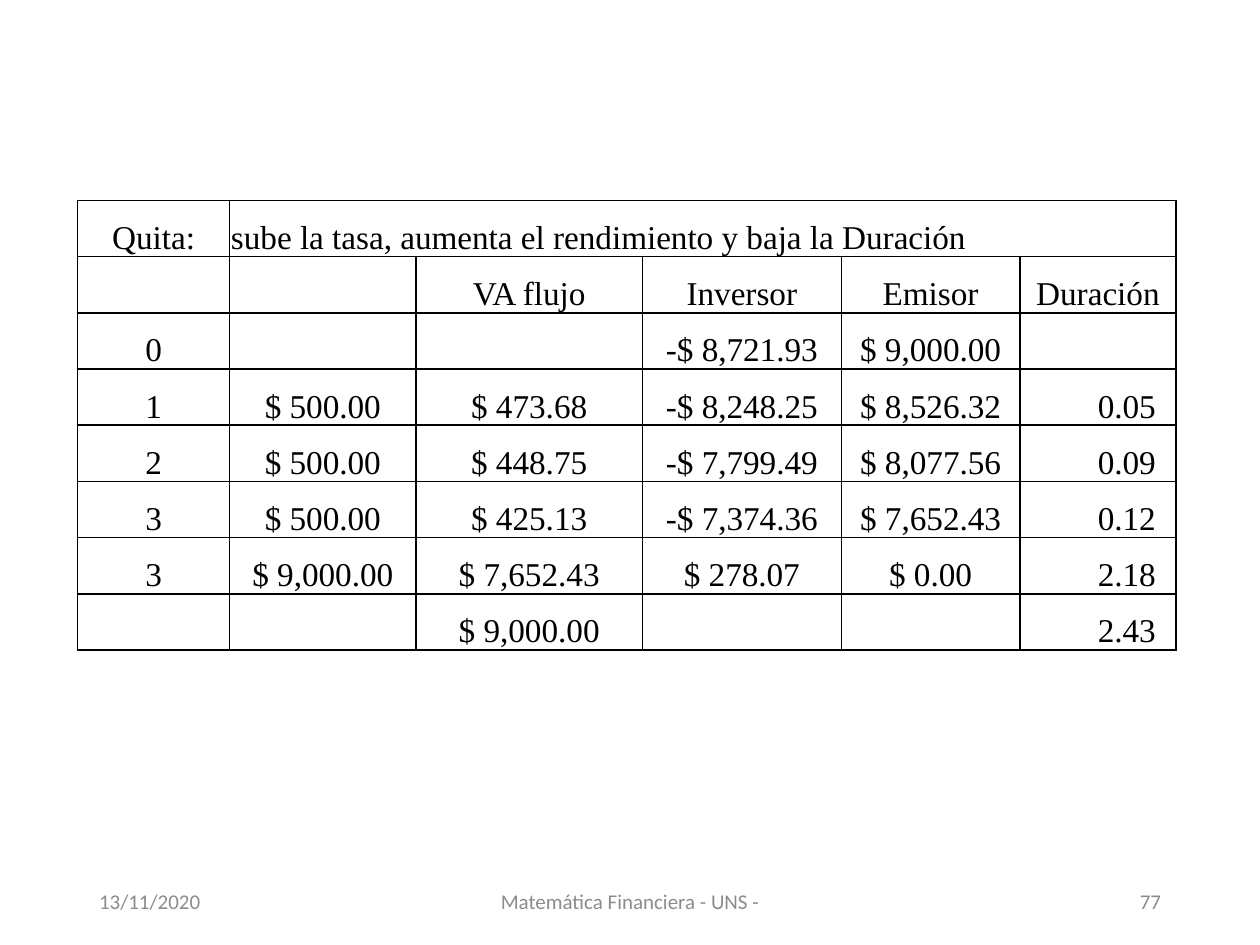
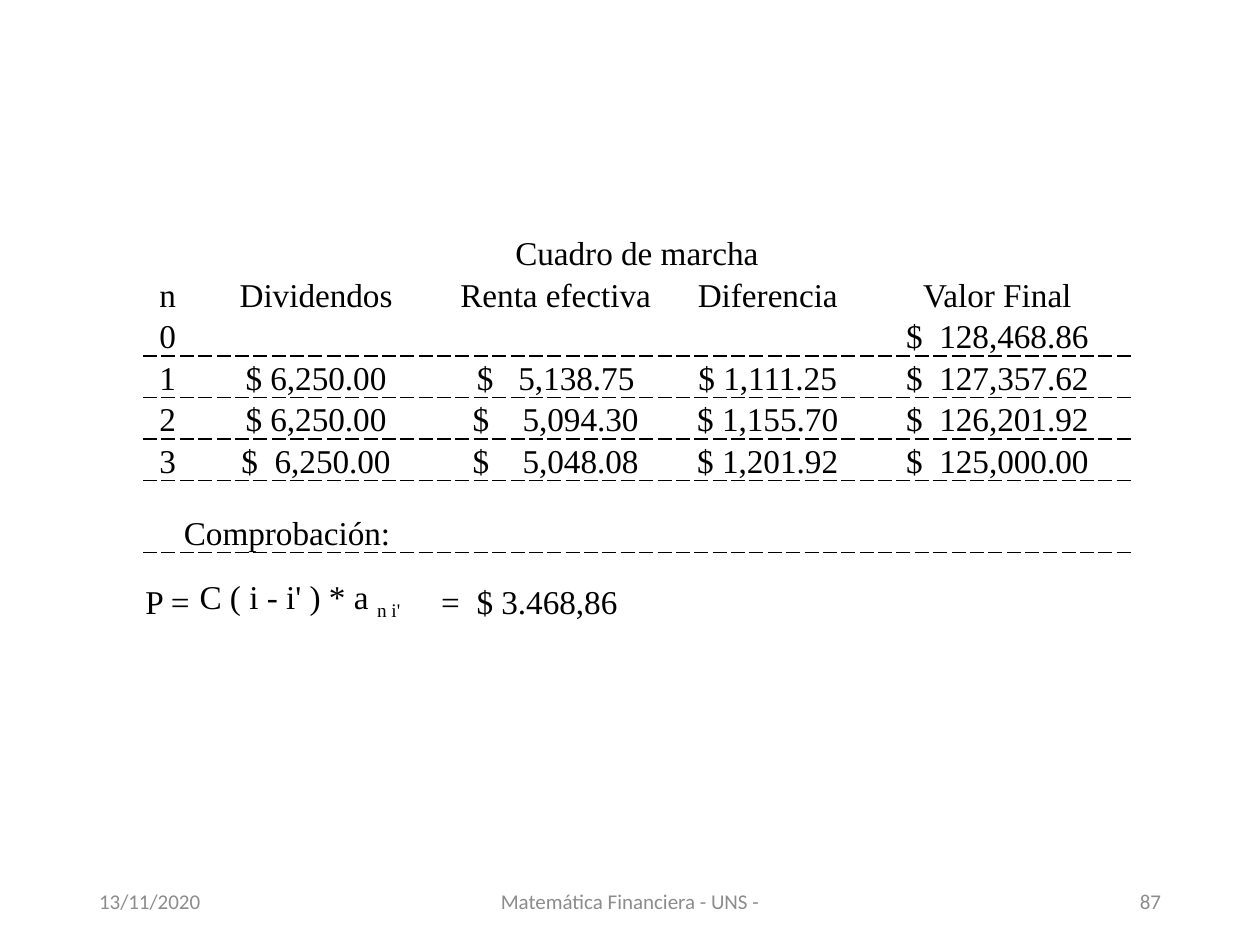
import dataclasses

import pptx
import pptx.dml.color
import pptx.enum.text
import pptx.oxml
import pptx.oxml.ns
import pptx.util

ALIGN = pptx.enum.text.PP_ALIGN
ANCHOR = pptx.enum.text.MSO_ANCHOR
GRID_COLUMNS, GRID_ROWS = 160, 120


@dataclasses.dataclass(frozen=True)
class Theme:
    ink: str = "000000"
    muted: str = "8C8C8C"
    table_font: str = "Times New Roman"
    footer_font: str = "Calibri"
    table_size: float = 19
    footer_size: float = 12
    line_width: float = 1
    subscript: int = -25
    space_share: float = 0.25


@dataclasses.dataclass(frozen=True)
class Box:
    left: float
    top: float
    width: float
    height: float

    def lengths(self, presentation):
        column = presentation.slide_width / GRID_COLUMNS
        row = presentation.slide_height / GRID_ROWS
        return (round(self.left * column), round(self.top * row),
                round(self.width * column), round(self.height * row))


@dataclasses.dataclass(frozen=True)
class Spaced:
    lead: str
    gap: int
    rest: str


@dataclasses.dataclass(frozen=True)
class Indexed:
    base: str
    index: str


THEME = Theme()
FOOTER_PARTS = (
    (Box(11, 111.2, 36, 6.4), ALIGN.LEFT),
    (Box(53, 111.2, 54, 6.4), ALIGN.CENTER),
    (Box(113, 111.2, 36, 6.4), ALIGN.RIGHT),
)

HAIRCUT_BOX = Box(9.84, 25.44, 139.52, 57.12)
HAIRCUT_COLUMNS = (1.21, 1.48, 1.8, 1.58, 1.42, 1.24)
HAIRCUT_ROWS = (
    ("Quita:", "sube la tasa, aumenta el rendimiento y baja la Duración", "", "", "", ""),
    ("", "", "VA flujo", "Inversor", "Emisor", "Duración"),
    ("0", "", "", "-$ 8,721.93", "$ 9,000.00", ""),
    ("1", "$ 500.00", "$ 473.68", "-$ 8,248.25", "$ 8,526.32", "0.05"),
    ("2", "$ 500.00", "$ 448.75", "-$ 7,799.49", "$ 8,077.56", "0.09"),
    ("3", "$ 500.00", "$ 425.13", "-$ 7,374.36", "$ 7,652.43", "0.12"),
    ("3", "$ 9,000.00", "$ 7,652.43", "$ 278.07", "$ 0.00", "2.18"),
    ("", "", "$ 9,000.00", "", "", "2.43"),
)

SCHEDULE_BOX = Box(18.16, 29.36, 125.44, 54.24)
SCHEDULE_COLUMNS = (0.39, 1.97, 1.84, 1.53, 2.12)
SCHEDULE_HEIGHTS = (0.33,) * 6 + (0.57, 0.4, 0.44)
SCHEDULE_ROWS = (
    ("Cuadro de marcha", "", "", "", ""),
    ("n", "Dividendos", "Renta efectiva", "Diferencia", "Valor Final"),
    ("0", "", "", "", Spaced("$", 2, "128,468.86")),
    ("1", "$ 6,250.00", Spaced("$", 3, "5,138.75"), "$ 1,111.25",
     Spaced("$", 2, "127,357.62")),
    ("2", "$ 6,250.00", Spaced("$", 4, "5,094.30"), "$ 1,155.70",
     Spaced("$", 2, "126,201.92")),
    ("3", Spaced("$", 2, "6,250.00"), Spaced("$", 4, "5,048.08"), "$ 1,201.92",
     Spaced("$", 2, "125,000.00")),
    ("Comprobación:", "", "", "", ""),
    ("P =", Indexed("C ( i - i' ) * a ", "n i'"), Spaced("=", 2, "$ 3.468,86"), "", ""),
    ("", "", "", "", ""),
)
FIRST_RULED_ROW, CHECK_ROW, FORMULA_ROW = 2, 6, 7


def apply(target, values):
    for name, value in values.items():
        setattr(target, name, value)


def add_run(paragraph, text, font_name, size, color):
    run = paragraph.add_run()
    run.text = text
    apply(run.font, {"name": font_name, "size": pptx.util.Pt(size)})
    run.font.color.rgb = pptx.dml.color.RGBColor.from_string(color)
    return run


def add_table_run(paragraph, text):
    return add_run(paragraph, text, THEME.table_font, THEME.table_size, THEME.ink)


def write_content(paragraph, content):
    if isinstance(content, Spaced):
        add_table_run(paragraph, content.lead)
        space = add_table_run(paragraph, " ")
        extra = (content.gap - 1) * THEME.table_size * THEME.space_share
        space.font._element.set("spc", str(round(extra * 100)))
        add_table_run(paragraph, content.rest)
    elif isinstance(content, Indexed):
        add_table_run(paragraph, content.base)
        index = add_table_run(paragraph, content.index)
        index.font._element.set("baseline", str(THEME.subscript * 1000))
    elif content:
        add_table_run(paragraph, content)


def set_borders(cell, dashes):
    properties = cell._tc.get_or_add_tcPr()
    for side in "LRTB":
        line = pptx.oxml.parse_xml(
            f'<a:ln{side} {pptx.oxml.ns.nsdecls("a")}/>')
        properties.append(line)
        if side in dashes:
            line.set("w", str(pptx.util.Pt(THEME.line_width)))
            line.append(pptx.oxml.parse_xml(
                f'<a:solidFill {pptx.oxml.ns.nsdecls("a")}>'
                f'<a:srgbClr val="{THEME.ink}"/></a:solidFill>'))
            line.append(pptx.oxml.parse_xml(
                f'<a:prstDash {pptx.oxml.ns.nsdecls("a")} val="{dashes[side]}"/>'))
        else:
            line.append(pptx.oxml.parse_xml(
                f'<a:noFill {pptx.oxml.ns.nsdecls("a")}/>'))


def add_grid(presentation, slide, box, columns, heights, rows, borders_for_row):
    left, top, width, height = box.lengths(presentation)
    table = slide.shapes.add_table(
        len(rows), len(columns), left, top, width, height).table
    apply(table, {"first_row": False, "horz_banding": False})
    for column, share in zip(table.columns, columns):
        column.width = round(width * share / sum(columns))
    for row, share in zip(table.rows, heights):
        row.height = round(height * share / sum(heights))
    margin = pptx.util.Inches(0.01)
    for row_index, contents in enumerate(rows):
        for column_index, content in enumerate(contents):
            cell = table.cell(row_index, column_index)
            apply(cell, {
                "margin_left": margin, "margin_right": margin,
                "margin_top": margin, "margin_bottom": 0,
                "vertical_anchor": ANCHOR.BOTTOM,
            })
            set_borders(cell, borders_for_row(row_index))
            cell.fill.background()
            paragraph = cell.text_frame.paragraphs[0]
            paragraph.alignment = ALIGN.CENTER
            write_content(paragraph, content)
    return table


def add_footer(presentation, slide, page):
    texts = ("13/11/2020", "Matemática Financiera - UNS -", page)
    for (box, alignment), text in zip(FOOTER_PARTS, texts):
        frame = slide.shapes.add_textbox(*box.lengths(presentation)).text_frame
        apply(frame, {"word_wrap": True, "vertical_anchor": ANCHOR.MIDDLE})
        paragraph = frame.paragraphs[0]
        paragraph.alignment = alignment
        add_run(paragraph, text, THEME.footer_font, THEME.footer_size, THEME.muted)


def add_page(presentation, page):
    slide = presentation.slides.add_slide(presentation.slide_layouts[6])
    add_footer(presentation, slide, page)
    return slide


def haircut_borders(row_index):
    return dict.fromkeys("LRTB", "solid")


def schedule_borders(row_index):
    borders = {}
    if FIRST_RULED_ROW < row_index <= FORMULA_ROW:
        borders["T"] = "sysDash"
    if FIRST_RULED_ROW <= row_index <= CHECK_ROW:
        borders["B"] = "sysDash"
    return borders


def add_haircut_slide(presentation, box):
    slide = add_page(presentation, "77")
    table = add_grid(presentation, slide, box, HAIRCUT_COLUMNS,
                     (1,) * len(HAIRCUT_ROWS), HAIRCUT_ROWS, haircut_borders)
    last_column = len(HAIRCUT_COLUMNS) - 1
    heading = table.cell(0, 1)
    heading.merge(table.cell(0, last_column))
    heading.text_frame.paragraphs[0].alignment = ALIGN.LEFT
    for row_index in range(3, len(HAIRCUT_ROWS)):
        duration = table.cell(row_index, last_column)
        duration.margin_right = pptx.util.Inches(0.16)
        duration.text_frame.paragraphs[0].alignment = ALIGN.RIGHT


def add_schedule_slide(presentation, box):
    slide = add_page(presentation, "87")
    table = add_grid(presentation, slide, box, SCHEDULE_COLUMNS,
                     SCHEDULE_HEIGHTS, SCHEDULE_ROWS, schedule_borders)
    table.cell(0, 0).merge(table.cell(0, len(SCHEDULE_COLUMNS) - 1))
    check = table.cell(CHECK_ROW, 0)
    check.merge(table.cell(CHECK_ROW, 1))
    check.margin_right = pptx.util.Inches(0.08)
    check.text_frame.paragraphs[0].line_spacing = 1.5
    alignments = (ALIGN.RIGHT, ALIGN.LEFT, ALIGN.LEFT)
    for column_index, alignment in enumerate(alignments):
        paragraph = table.cell(FORMULA_ROW, column_index).text_frame.paragraphs[0]
        apply(paragraph, {"alignment": alignment, "line_spacing": 1.5})
    apply(table.cell(FORMULA_ROW, 0),
          {"margin_left": 0, "margin_right": pptx.util.Inches(0.02)})
    table.cell(FORMULA_ROW, 1).margin_left = pptx.util.Inches(0.06)


def main():
    presentation = pptx.Presentation()
    apply(presentation, {"slide_width": pptx.util.Inches(10),
                         "slide_height": pptx.util.Inches(7.5)})
    add_haircut_slide(presentation, HAIRCUT_BOX)
    add_schedule_slide(presentation, SCHEDULE_BOX)
    presentation.save("out.pptx")


if __name__ == "__main__":
    main()
